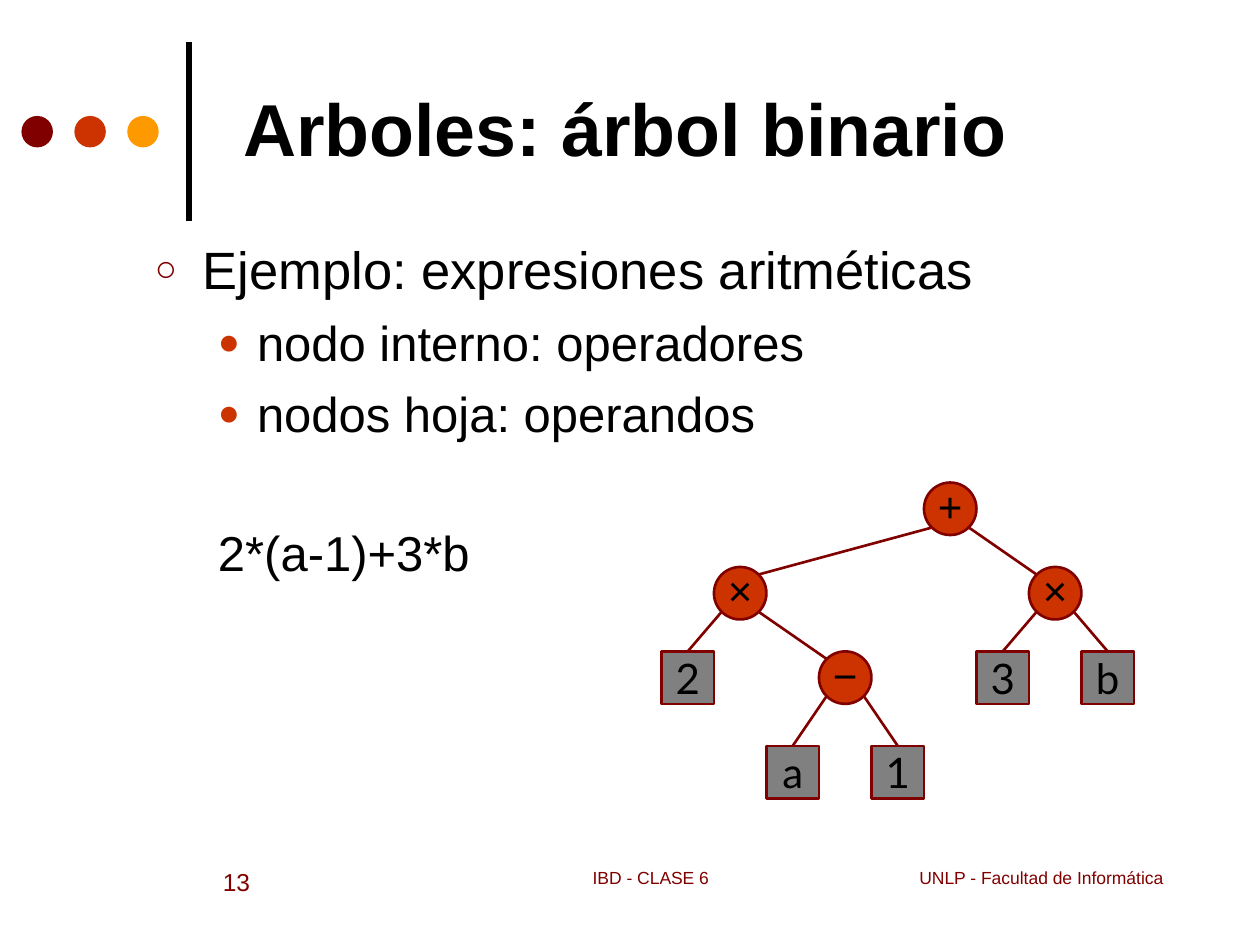
from lxml.etree import SubElement
from pptx import Presentation
from pptx.dml.color import RGBColor
from pptx.enum.shapes import MSO_CONNECTOR, MSO_SHAPE
from pptx.enum.text import MSO_ANCHOR, MSO_AUTO_SIZE, PP_ALIGN
from pptx.oxml.ns import qn
from pptx.util import Inches, Pt

MAROON, RED, ORANGE, GRAY, BLACK = "800000", "CC3300", "FF9900", "808080", "000000"
NODE = 5 / 12
ROWS = (3.83, 4.5, 5.17, 5.92)
CORNER = 0.15
TREE = ("+", 5, 0, [
    ("×", 1, 1, [
        ("2", 0, 2, []),
        ("−", 3, 2, [("a", 2, 3, []), ("1", 4, 3, [])]),
    ]),
    ("×", 7, 1, [("3", 6, 2, []), ("b", 8, 2, [])]),
])


def rgb(color):
    """Turn a hex string into a colour."""
    return RGBColor.from_string(color)


def box(x, y, w, h):
    """Convert a place and size to lengths."""
    return [Inches(v) for v in (x, y, w, h)]


def write(p, text, size, color=BLACK, font="Arial", bold=False, align=PP_ALIGN.LEFT):
    """Write formatted text into a paragraph."""
    p.alignment = align
    r = p.add_run()
    r.text = text
    r.font.name = font
    r.font.size = Pt(size)
    r.font.bold = bold
    r.font.color.rgb = rgb(color)


def place(sp, *at):
    """Move a placeholder and stop its text from shrinking."""
    sp.left, sp.top, sp.width, sp.height = box(*at)
    sp.text_frame.auto_size = MSO_AUTO_SIZE.NONE
    return sp.text_frame


def add_label(s, at, text, size, align):
    """Add a line of footer text."""
    tf = s.shapes.add_textbox(*box(*at)).text_frame
    tf.word_wrap = True
    write(tf.paragraphs[0], text, size, MAROON, align=align)


def add_figure(s, kind, at, fill, line=None):
    """Add a filled preset shape."""
    sp = s.shapes.add_shape(kind, *box(*at))
    sp.shadow.inherit = False
    sp.fill.solid()
    sp.fill.fore_color.rgb = rgb(fill)
    if line:
        sp.line.color.rgb = rgb(line)
        sp.line.width = Pt(1.5)
    else:
        sp.line.fill.background()
    return sp


def add_line(s, start, end, color, width):
    """Add a straight line without a shadow."""
    points = [Inches(v) for v in (*start, *end)]
    c = s.shapes.add_connector(MSO_CONNECTOR.STRAIGHT, *points)
    c.line.color.rgb = rgb(color)
    c.line.width = Pt(width)
    SubElement(c._element.spPr, qn("a:effectLst"))
    return c


def set_bullet(p, left, hang, char=None, color=None, percent=100):
    """Set the indent and the bullet of a paragraph."""
    pPr = p._p.get_or_add_pPr()
    pPr.set("marL", str(Inches(left)))
    pPr.set("indent", str(-Inches(hang)))
    if char is None:
        SubElement(pPr, qn("a:buNone"))
        return
    SubElement(SubElement(pPr, qn("a:buClr")), qn("a:srgbClr")).set("val", color)
    SubElement(pPr, qn("a:buSzPct")).set("val", str(percent * 1000))
    SubElement(pPr, qn("a:buFont")).set("typeface", "Arial")
    SubElement(pPr, qn("a:buChar")).set("char", char)


def add_item(p, text, size, level, before, *bullet):
    """Fill one paragraph of the body list."""
    p.level = level
    p.space_before = Pt(before)
    write(p, text, size)
    set_bullet(p, *bullet)


def center(node):
    """Return the middle of a tree node."""
    return 5.25 + NODE * (node[1] + 0.5), ROWS[node[2]] + NODE / 2


def add_node(s, node):
    """Draw an operator as a circle or an operand as a square."""
    x, y = center(node)
    operator = bool(node[3])
    kind, fill = (MSO_SHAPE.OVAL, RED) if operator else (MSO_SHAPE.RECTANGLE, GRAY)
    sp = add_figure(s, kind, (x - NODE / 2, y - NODE / 2, NODE, NODE), fill, MAROON)
    tf = sp.text_frame
    tf.word_wrap = False
    tf.vertical_anchor = MSO_ANCHOR.MIDDLE
    if operator:
        tf.margin_left = tf.margin_right = tf.margin_top = 0
    write(tf.paragraphs[0], node[0], 24, font="Arial" if operator else "Lato",
          align=PP_ALIGN.CENTER)
    return sp


def add_tree(s, node):
    """Draw a node, its subtrees and the lines to them."""
    sp = add_node(s, node)
    x, y = center(node)
    for child in node[3]:
        child_sp = add_tree(s, child)
        cx, cy = center(child)
        side = CORNER if cx > x else -CORNER
        c = add_line(s, (x + side, y + CORNER), (cx - side, cy - CORNER), MAROON, 1.5)
        if not child[3]:
            c.end_connect(child_sp, 0)
    return sp


def main():
    """Build the slide and save it."""
    prs = Presentation()
    prs.slide_width, prs.slide_height = Inches(10), Inches(7.5)
    s = prs.slides.add_slide(prs.slide_layouts[1])

    add_line(s, (1.5, 1.75), (1.5, 0.33), BLACK, 3)
    for i, color in enumerate((MAROON, RED, ORANGE)):
        add_figure(s, MSO_SHAPE.OVAL, (0.17 + 0.42 * i, 0.92, 0.25, 0.25), color)

    tf = place(s.shapes.title, 1.83, 0.67, 7.75, 0.68)
    tf.vertical_anchor = MSO_ANCHOR.MIDDLE
    write(tf.paragraphs[0], "Arboles: árbol binario", 42, bold=True)

    tf = place(s.placeholders[1], 1.13, 1.83, 8.2, 5)
    add_item(tf.paragraphs[0], "Ejemplo: expresiones aritméticas", 30, 0, 7.5,
             0.38, 0.38, "○", MAROON, 70)
    for text in ("nodo interno: operadores", "nodos hoja: operandos"):
        add_item(tf.add_paragraph(), text, 28, 1, 7, 0.81, 0.31, "●", RED, 75)
    add_item(tf.add_paragraph(), "2*(a-1)+3*b", 28, 1, 46, 0.81, 0.31)

    add_tree(s, TREE)

    add_label(s, (3.58, 6.83, 3.17, 0.5), "IBD - CLASE 6", 10, PP_ALIGN.CENTER)
    add_label(s, (1.67, 6.83, 1.42, 0.5), "13", 14, PP_ALIGN.LEFT)
    add_label(s, (6.65, 6.83, 2.68, 0.5), "UNLP - Facultad de Informática", 10,
              PP_ALIGN.RIGHT)
    prs.save("out.pptx")


if __name__ == "__main__":
    main()
